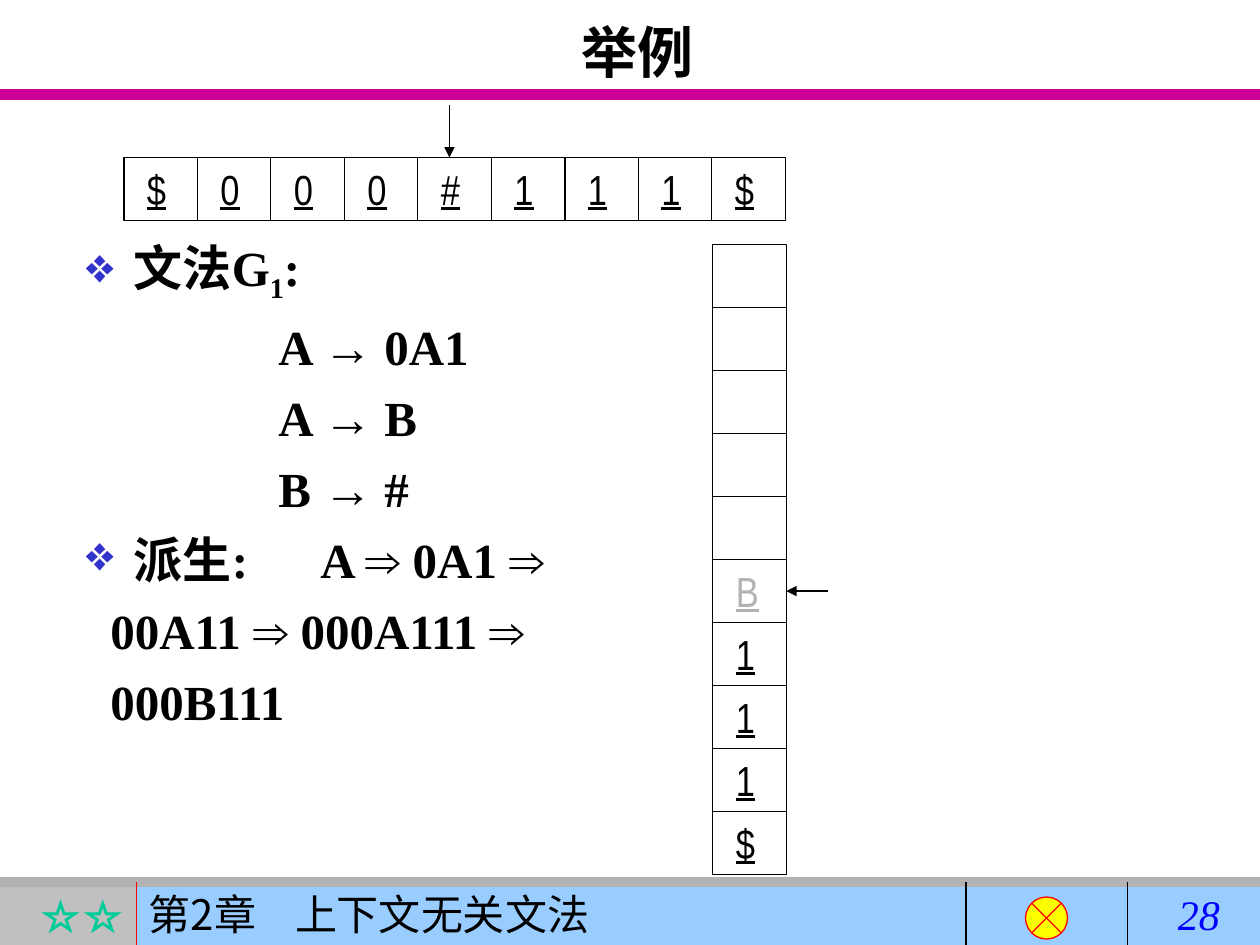
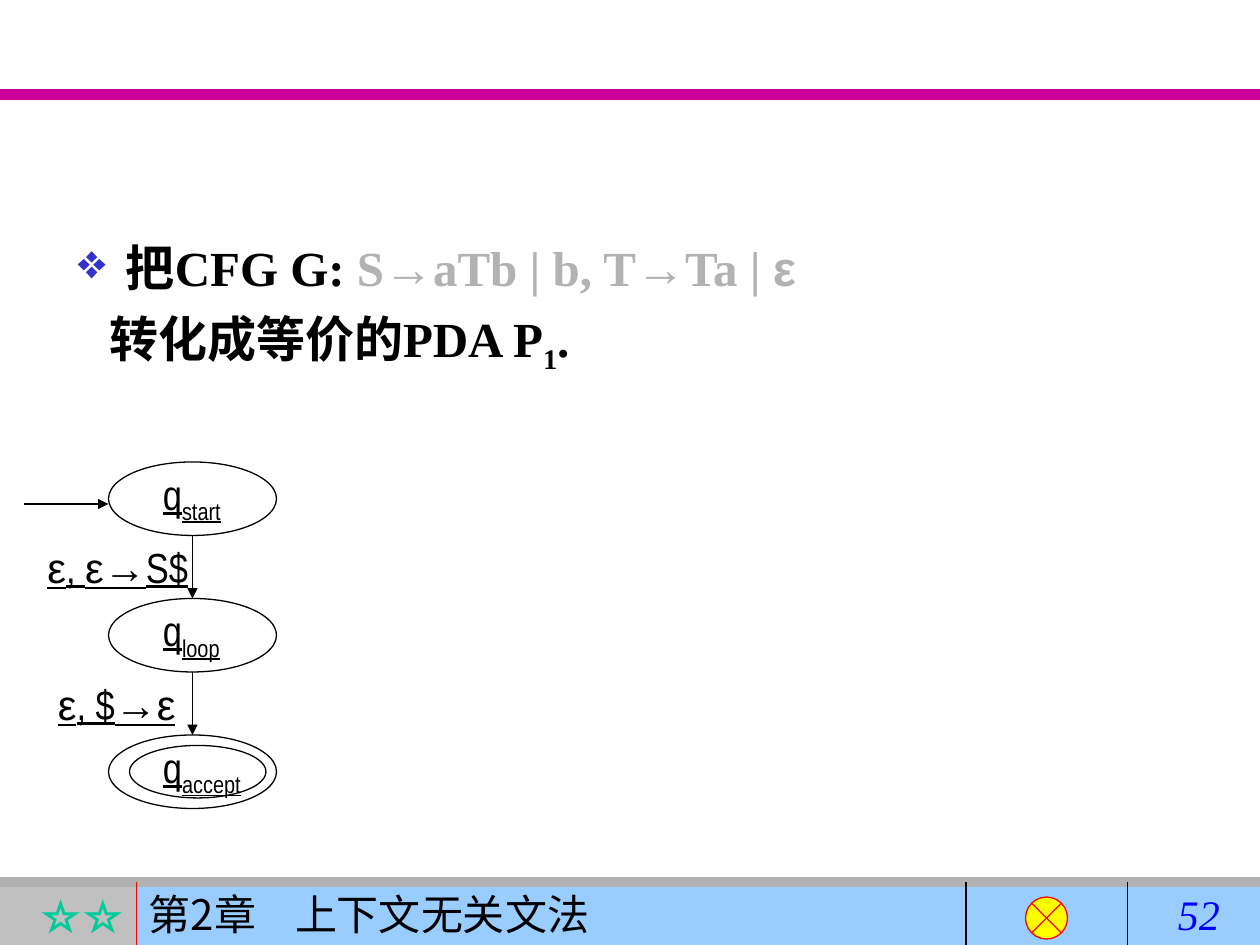
"""Builds two slides on pushdown automata with a shared chapter frame."""
from itertools import groupby

from lxml import etree
from pptx import Presentation
from pptx.dml.color import RGBColor
from pptx.enum.shapes import MSO_CONNECTOR, MSO_SHAPE
from pptx.enum.text import MSO_ANCHOR, PP_ALIGN
from pptx.oxml.ns import qn
from pptx.util import Pt

RECTANGLE, OVAL = MSO_SHAPE.RECTANGLE, MSO_SHAPE.OVAL
JUNCTION = MSO_SHAPE.FLOWCHART_SUMMING_JUNCTION
STRAIGHT = MSO_CONNECTOR.STRAIGHT
LEFT, CENTER, RIGHT = PP_ALIGN.LEFT, PP_ALIGN.CENTER, PP_ALIGN.RIGHT
TOP = MSO_ANCHOR.TOP

BLACK = RGBColor(0x00, 0x00, 0x00)
MAGENTA = RGBColor(0xCC, 0x00, 0x99)
SILVER = RGBColor(0xC0, 0xC0, 0xC0)
GRAY = RGBColor(0xB2, 0xB2, 0xB2)
SKY = RGBColor(0x99, 0xCC, 0xFF)
GREEN = RGBColor(0x00, 0xCC, 0x99)
RED = RGBColor(0xFF, 0x00, 0x00)
YELLOW = RGBColor(0xFF, 0xFF, 0x00)
BLUE = RGBColor(0x00, 0x00, 0xFF)
INDIGO = RGBColor(0x33, 0x33, 0xCC)

WIDTH, HEIGHT = 720, 540
FOOTER_TOP, FOOTER_HEIGHT = 504, 36
SERIF, SANS, NARROW, CHINESE = "Times New Roman", "Arial", "Arial Narrow", "Noto Sans CJK SC"
SYMBOLS = "→⇒ε"
TITLE = {"name": SERIF, "size": Pt(32), "bold": True}
BODY = {"name": SERIF, "size": Pt(28), "bold": True}
LABEL = {"name": NARROW, "size": Pt(24), "underline": True}
STARS = {"name": SERIF, "size": Pt(24), "bold": True}
CHAPTER = {"name": CHINESE, "size": Pt(24)}
NUMBER = {"name": SERIF, "size": Pt(24), "italic": True}
INSETS = {"margin_left": 7.2, "margin_top": 3.6, "margin_right": 7.2, "margin_bottom": 3.6}
HANG = 27.4


def add_spans(para, text, style, color=BLACK, subscript=False):
    """Add text in one style, with the symbols in the sans font."""
    for is_symbol, letters in groupby(text, lambda letter: letter in SYMBOLS):
        span = para.add_run()
        span.text = "".join(letters)
        for name, value in style.items():
            setattr(span.font, name, value)
        if is_symbol:
            span.font.name = SANS
        span.font.color.rgb = color
        if subscript:
            span._r.get_or_add_rPr().set("baseline", "-25000")


def prepare_frame(shape, align=LEFT, wrap=True, **insets):
    """Set the insets of a shape's text and return its first paragraph."""
    frame = shape.text_frame
    frame.word_wrap = wrap
    frame.vertical_anchor = TOP
    for name, value in (INSETS | insets).items():
        setattr(frame, name, Pt(value))
    para = frame.paragraphs[0]
    para.alignment = align
    return para


def add_shape(shapes, kind, box, fill=None, line=None):
    """Add a preset shape with an optional fill and outline."""
    shape = shapes.add_shape(kind, *map(Pt, box))
    shape.shadow.inherit = False
    for part, color in ((shape.fill, fill), (shape.line.fill, line)):
        if color is None:
            part.background()
        else:
            part.solid()
            part.fore_color.rgb = color
    if line is not None:
        shape.line.width = Pt(0.75)
    return shape


def add_line(shapes, start, end, color=BLACK, width=0.75, arrow=False):
    """Add a straight line, with an arrowhead at its end if wanted."""
    line = shapes.add_connector(STRAIGHT, *map(Pt, (*start, *end)))
    line.line.color.rgb = color
    line.line.width = Pt(width)
    if arrow:
        etree.SubElement(line.line._get_or_add_ln(), qn("a:tailEnd"), type="triangle")
    etree.SubElement(line._element.spPr, qn("a:effectLst"))


def add_label(shapes, box, text, style, color=BLACK, align=LEFT, subscript=""):
    """Add a one-line text box with an optional subscript."""
    para = prepare_frame(shapes.add_textbox(*map(Pt, box)), align, wrap=False)
    add_spans(para, text, style, color)
    if subscript:
        add_spans(para, subscript, style, color, subscript=True)


def add_tab(para, position):
    """Give a paragraph one left tab stop."""
    tabs = etree.SubElement(para._p.get_or_add_pPr(), qn("a:tabLst"))
    etree.SubElement(tabs, qn("a:tab"), pos=str(Pt(position)), algn="l")


def add_bullet(para):
    """Give a paragraph a hanging diamond bullet."""
    props = para._p.get_or_add_pPr()
    props.set("marL", str(Pt(HANG)))
    props.set("indent", str(-Pt(HANG)))
    color = etree.SubElement(props, qn("a:buClr"))
    etree.SubElement(color, qn("a:srgbClr"), val=str(INDIGO))
    etree.SubElement(props, qn("a:buChar"), char="❖")


def add_body(page, box, lines):
    """Add body lines, each an indent (None for a bullet), a tab stop and its spans."""
    para = prepare_frame(page.shapes.add_textbox(*map(Pt, box)))
    frame = para._parent
    for index, (indent, tab, spans) in enumerate(lines):
        if index:
            para = frame.add_paragraph()
            para.space_before = Pt(7)
        if indent is None:
            add_bullet(para)
        else:
            para._p.get_or_add_pPr().set("marL", str(Pt(indent)))
        if tab:
            add_tab(para, tab)
        for text, options in spans:
            add_spans(para, text, BODY, **options)


def add_footer(page, number):
    """Draw the chapter band with its marks and the page number."""
    shapes, top, height = page.shapes, FOOTER_TOP, FOOTER_HEIGHT
    split = 78
    badge = add_shape(shapes, RECTANGLE, (0, top, split, height), SILVER)
    add_spans(prepare_frame(badge, RIGHT), "☆☆", STARS, GREEN)
    band = add_shape(shapes, RECTANGLE, (split, top, WIDTH - split, height), SKY)
    para = prepare_frame(band)
    add_tab(para, 83.5)
    add_spans(para, "第2章\t上下文无关文法", CHAPTER)
    add_line(shapes, (0, top), (WIDTH, top), GRAY, 6)
    for x, color in ((split, RED), (552, BLACK), (644.5, BLACK)):
        add_line(shapes, (x, top), (x, top + height), color)
    add_shape(shapes, JUNCTION, (586, top + 8.6, 24, 24), YELLOW, RED)
    add_label(shapes, (666, top, 54, height), number, NUMBER, BLUE)


def add_page(deck, number):
    """Add a blank page with the shared rule and footer."""
    page = deck.slides.add_slide(deck.slide_layouts[6])
    add_line(page.shapes, (0, 54), (WIDTH, 54), MAGENTA, 6)
    add_footer(page, number)
    return page


def add_cells(shapes, box, step, symbols, colors):
    """Draw a run of equal cells, each holding one symbol."""
    left, top, width, height = box
    for index, symbol in enumerate(symbols):
        place = (left + index * step[0], top + index * step[1], width, height)
        cell = add_shape(shapes, RECTANGLE, place, line=BLACK)
        if symbol:
            para = prepare_frame(cell, margin_left=13.2, margin_right=0)
            add_spans(para, symbol, LABEL, colors.get(symbol, BLACK))


def add_tape(page, left, top):
    """Draw the input tape and its reading head."""
    shapes = page.shapes.add_group_shape().shapes
    add_cells(shapes, (left, top, 42, 36), (42, 0), "$000#111$", {})
    head = left + 4.43 * 42
    add_line(shapes, (head, top - 30), (head, top), arrow=True)


def add_stack(page, left, top):
    """Draw the stack and the pointer to its top symbol."""
    shapes = page.shapes.add_group_shape().shapes
    symbols = [""] * 5 + list("B111$")
    add_cells(shapes, (left, top, 42, 36), (0, 36), symbols, {"B": GRAY})
    pointer = top + 5.5 * 36
    add_line(shapes, (left + 66, pointer), (left + 42, pointer), arrow=True)


def add_automaton(page, left, top):
    """Draw the three states from top to bottom and their transitions."""
    shapes = page.shapes
    width, height, pitch = 96, 42, 78
    middle = left + width / 2
    for index, state in enumerate(("start", "loop", "accept")):
        y = top + index * pitch
        add_shape(shapes, OVAL, (left, y, width, height), line=BLACK)
        add_label(shapes, (left + 24, y, 66, 40), "q", LABEL, subscript=state)
    add_shape(shapes, OVAL, (left + 12, top + 2 * pitch + 6, 78, 30), line=BLACK)
    add_line(shapes, (left - 48, top + 24), (left, top + 24), arrow=True)
    for index, (offset, rule) in enumerate(((-42, "ε, ε→S$"), (-36, "ε, $→ε"))):
        y = top + index * pitch + height
        add_line(shapes, (middle, y), (middle, y + 36), arrow=True)
        add_label(shapes, (left + offset, y, 108, 36), rule, LABEL)


def build_example(deck):
    """Build the page that derives a string beside its tape and stack."""
    page = add_page(deck, "28")
    add_label(page.shapes, (58.5, 6.5, 612, 90), "举例", TITLE, align=CENTER)
    rules = [(110, None, [(rule, {})]) for rule in ("A → 0A1", "A → B", "B → #")]
    steps = [(14, None, [(step, {})]) for step in ("00A11 ⇒ 000A111 ⇒", "000B111")]
    grammar = (None, None, [("文法G", {}), ("1", {"subscript": True}), (":", {})])
    derivation = (None, 134, [("派生:\tA ⇒ 0A1 ⇒", {})])
    add_body(page, (42, 132, 375, 366), [grammar, *rules, derivation, *steps])
    add_tape(page, 70.8, 90)
    add_stack(page, 407.3, 139.8)


def build_conversion(deck):
    """Build the page that turns a grammar into an automaton."""
    page = add_page(deck, "52")
    task = [("把CFG G: ", {}), ("S→aTb | b, T→Ta | ε", {"color": GRAY})]
    goal = [("转化成等价的PDA P", {}), ("1", {"subscript": True}), (".", {})]
    add_body(page, (37.5, 132, 612, 102), [(None, None, task), (18, None, goal)])
    add_automaton(page, 62, 264)


def main():
    """Build the deck and save it."""
    deck = Presentation()
    deck.slide_width, deck.slide_height = Pt(WIDTH), Pt(HEIGHT)
    build_example(deck)
    build_conversion(deck)
    deck.save("out.pptx")


if __name__ == "__main__":
    main()
